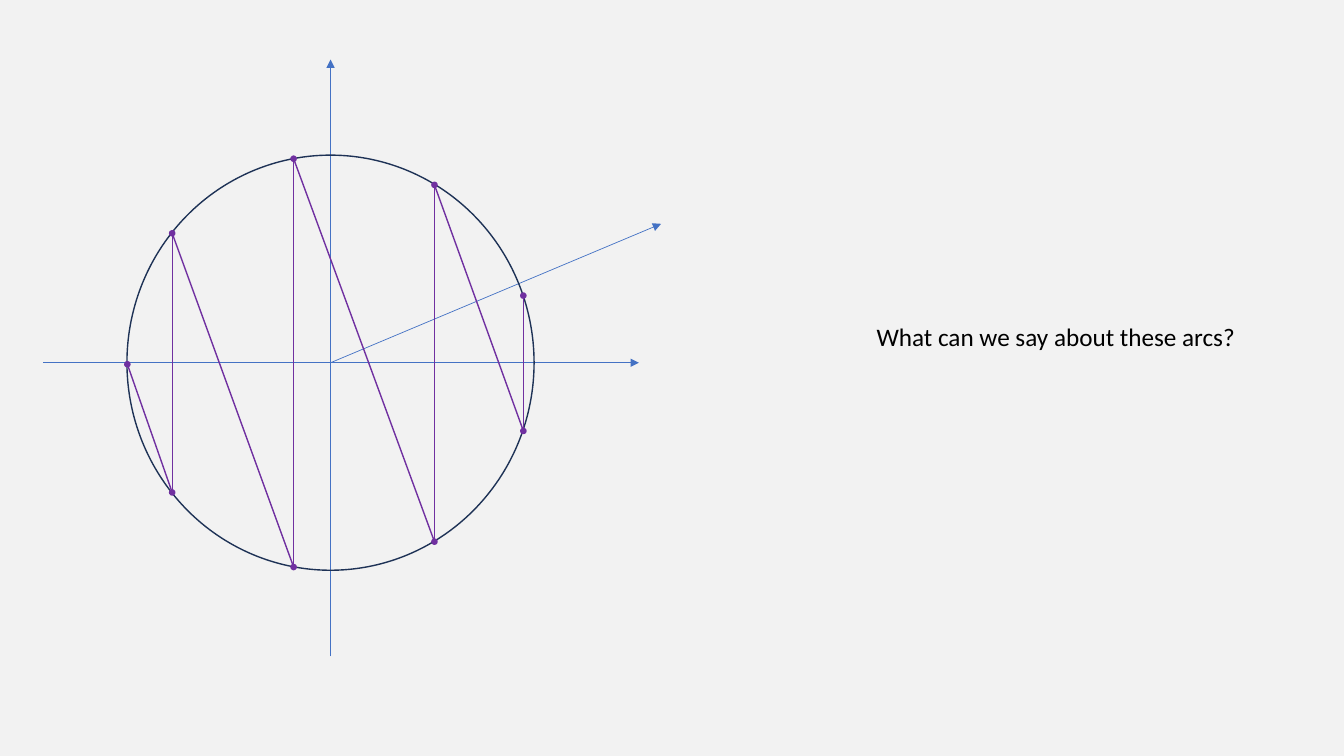
"""Build a slide with a zigzag of chords inscribed in a circle."""
import itertools
from typing import NamedTuple

import lxml.etree
import pptx
import pptx.dml.color
import pptx.enum.shapes
import pptx.enum.text
import pptx.oxml.ns
import pptx.util
from pptx.util import Cm


class Point(NamedTuple):
    x: float
    y: float


class Segment(NamedTuple):
    start: Point
    end: Point
    color: str
    width: float
    arrow: bool = False


class Ellipse(NamedTuple):
    center: Point
    width: float
    height: float
    line: str
    fill: str | None = None


BACKGROUND = "F2F2F2"
AXIS_BLUE = "4472C4"
CIRCLE_NAVY = "1E3256"
CHORD_PURPLE = "7030A0"
DOT_SIZE = 0.13
ORIGIN = Point(8.33, 9.14)

AXES = [
    Segment(Point(ORIGIN.x, 16.54), Point(ORIGIN.x, 1.5), AXIS_BLUE, 0.5, True),
    Segment(Point(1.09, ORIGIN.y), Point(16.1, ORIGIN.y), AXIS_BLUE, 0.5, True),
    Segment(ORIGIN, Point(16.66, 5.64), AXIS_BLUE, 0.5, True),
]
CIRCLE = Ellipse(ORIGIN, 10.26, 10.46, CIRCLE_NAVY)
ZIGZAG = [
    Point(3.21, 9.18),
    Point(4.34, 12.41),
    Point(4.34, 5.88),
    Point(7.4, 14.29),
    Point(7.4, 4),
    Point(10.95, 13.65),
    Point(10.95, 4.66),
    Point(13.19, 10.86),
    Point(13.19, 7.45),
]


def rgb(color: str) -> pptx.dml.color.RGBColor:
    return pptx.dml.color.RGBColor.from_string(color)


def draw_segment(slide, segment: Segment) -> None:
    connector = slide.shapes.add_connector(
        pptx.enum.shapes.MSO_CONNECTOR.STRAIGHT,
        Cm(segment.start.x), Cm(segment.start.y),
        Cm(segment.end.x), Cm(segment.end.y),
    )
    connector.line.color.rgb = rgb(segment.color)
    connector.line.width = pptx.util.Pt(segment.width)
    if segment.arrow:
        line = connector.line._get_or_add_ln()
        lxml.etree.SubElement(line, pptx.oxml.ns.qn("a:tailEnd"), type="triangle")
    properties = connector._element.spPr
    lxml.etree.SubElement(properties, pptx.oxml.ns.qn("a:effectLst"))


def draw_ellipse(slide, ellipse: Ellipse) -> None:
    shape = slide.shapes.add_shape(
        pptx.enum.shapes.MSO_SHAPE.OVAL,
        Cm(ellipse.center.x - ellipse.width / 2),
        Cm(ellipse.center.y - ellipse.height / 2),
        Cm(ellipse.width), Cm(ellipse.height),
    )
    shape.shadow.inherit = False
    shape.line.color.rgb = rgb(ellipse.line)
    shape.line.width = pptx.util.Pt(1)
    if ellipse.fill:
        shape.fill.solid()
        shape.fill.fore_color.rgb = rgb(ellipse.fill)
    else:
        shape.fill.background()


def add_text(slide, text: str, *, left: float, top: float, width: float,
             height: float, size: float, color: str, font: str = "Calibri") -> None:
    box = slide.shapes.add_textbox(Cm(left), Cm(top), Cm(width), Cm(height))
    frame = box.text_frame
    frame.word_wrap = False
    frame.auto_size = pptx.enum.text.MSO_AUTO_SIZE.SHAPE_TO_FIT_TEXT
    run = frame.paragraphs[0].add_run()
    run.text = text
    run.font.name = font
    run.font.size = pptx.util.Pt(size)
    run.font.color.rgb = rgb(color)


def main() -> None:
    presentation = pptx.Presentation()
    presentation.slide_width = Cm(33.87)
    presentation.slide_height = Cm(19.05)
    slide = presentation.slides.add_slide(presentation.slide_layouts[6])
    slide.background.fill.solid()
    slide.background.fill.fore_color.rgb = rgb(BACKGROUND)

    add_text(slide, "What can we say about these arcs?", left=21.84, top=7.98,
             width=9.65, height=1.02, size=18, color="000000")
    for axis in AXES:
        draw_segment(slide, axis)
    draw_ellipse(slide, CIRCLE)
    for start, end in itertools.pairwise(ZIGZAG):
        draw_segment(slide, Segment(start, end, CHORD_PURPLE, 1))
    for point in ZIGZAG:
        draw_ellipse(slide, Ellipse(point, DOT_SIZE, DOT_SIZE, CHORD_PURPLE, CHORD_PURPLE))

    presentation.save("out.pptx")


if __name__ == "__main__":
    main()
